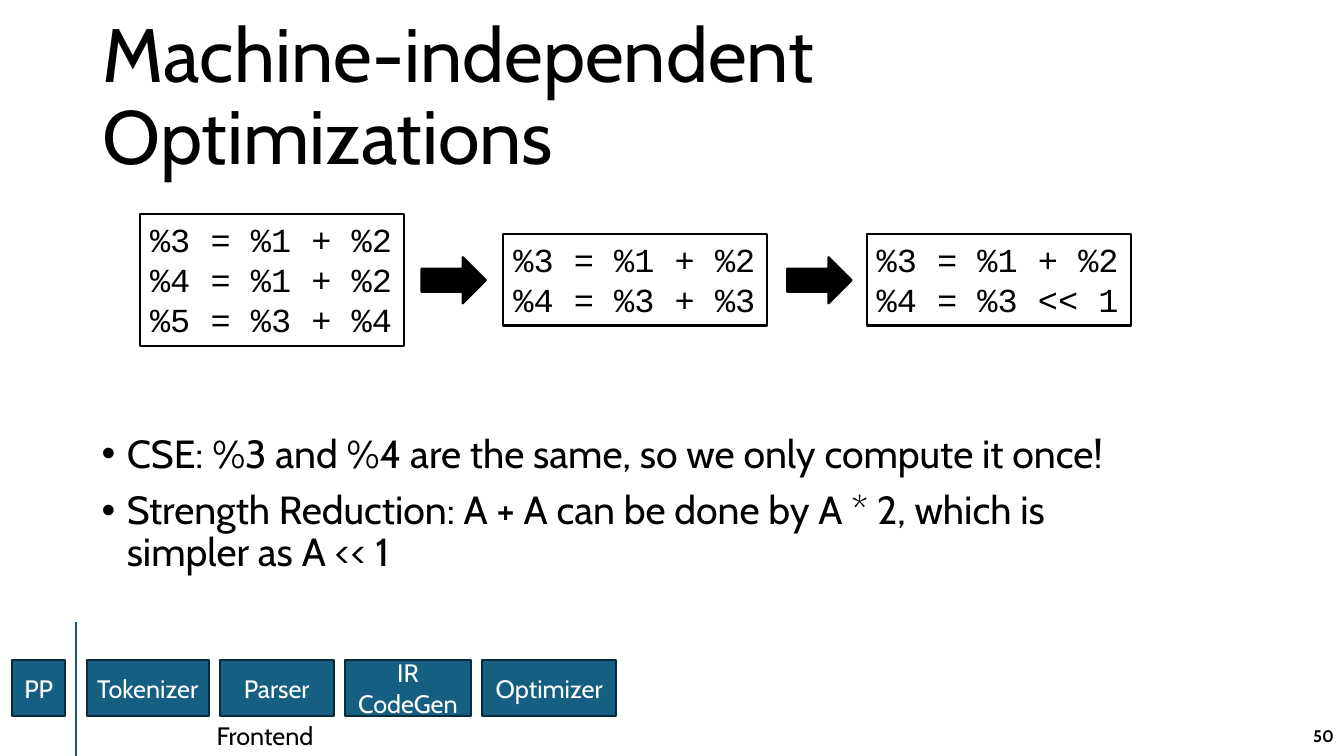
from pptx import Presentation
from pptx.dml.color import RGBColor
from pptx.enum.shapes import MSO_CONNECTOR as Connector, MSO_SHAPE as Shape
from pptx.enum.text import MSO_ANCHOR as Anchor, MSO_AUTO_SIZE as AutoSize, PP_ALIGN as Align
from pptx.oxml.ns import qn
from pptx.util import Pt
from lxml.etree import SubElement

BLACK, WHITE, BLUE, NAVY = "000000", "FFFFFF", "156082", "092A39"
SANS, MONO = "Cabin", "Courier New"


def color(hex_string):
    return RGBColor.from_string(hex_string)


def write(shape, lines, size, font=SANS, ink=BLACK, align=Align.LEFT,
          anchor=Anchor.TOP, wrap=True, bold=False):
    frame = shape.text_frame
    frame.text = "\n".join(lines)
    frame.word_wrap = wrap
    frame.auto_size = AutoSize.NONE if wrap else AutoSize.SHAPE_TO_FIT_TEXT
    frame.vertical_anchor = anchor
    for paragraph in frame.paragraphs:
        paragraph.alignment = align
        paragraph.font.name = font
        paragraph.font.size = Pt(size)
        paragraph.font.bold = bold
        paragraph.font.color.rgb = color(ink)
    return frame.paragraphs


def add_text(slide, box, lines, size, **style):
    return write(slide.shapes.add_textbox(*map(Pt, box)), lines, size, **style)


def add_block(slide, kind, box, fill, line):
    shape = slide.shapes.add_shape(kind, *map(Pt, box))
    shape.shadow.inherit = False
    shape.fill.solid()
    shape.fill.fore_color.rgb = color(fill)
    shape.line.color.rgb = color(line)
    shape.line.width = Pt(1.5)
    return shape


def add_title(slide, box, title):
    paragraph, = add_text(slide, box, [title], 54, anchor=Anchor.MIDDLE)
    paragraph.line_spacing = 0.9


def add_bullets(slide, box, items):
    for paragraph in add_text(slide, box, items, 28):
        paragraph.line_spacing = 0.9
        paragraph.space_before = Pt(10)
        properties = paragraph._p.get_or_add_pPr()
        properties.set("marL", str(Pt(18)))
        properties.set("indent", str(-Pt(18)))
        SubElement(properties, qn("a:buFont")).set("typeface", "Arial")
        SubElement(properties, qn("a:buChar")).set("char", "•")


def add_code_steps(slide, box, steps, arrow_offsets):
    left, top, width, height = box
    middle = top + height / 2
    code_width = 188.6
    pitch = (width - code_width) / (len(steps) - 1)
    for index, lines in enumerate(steps):
        code_height = 7.9 + 28.8 * len(lines)
        code_box = (left + index * pitch, middle - code_height / 2, code_width, code_height)
        code = add_block(slide, Shape.RECTANGLE, code_box, WHITE, BLACK)
        write(code, lines, 24, font=MONO, wrap=False)
    for offset in arrow_offsets:
        arrow_box = (left + offset, middle - 16, 46, 33)
        add_block(slide, Shape.RIGHT_ARROW, arrow_box, BLACK, BLACK)


def add_pipeline(slide, box):
    left, top, width, height = box
    stage_top, stage_height = top + 27.4, 39.6

    # Compiler stages, with the preprocessor left of the divider
    def add_stage(name, stage_left, stage_width):
        stage_box = (stage_left, stage_top, stage_width, stage_height)
        stage = add_block(slide, Shape.RECTANGLE, stage_box, BLUE, NAVY)
        write(stage, [name], 18, ink=WHITE, align=Align.CENTER, anchor=Anchor.MIDDLE)

    add_stage("PP", left, 38.2)
    stage_left = left + 53.3
    for name, stage_width in [("Tokenizer", 87.1), ("Parser", 81.4),
                              ("IR CodeGen", 90), ("Optimizer", 95.8)]:
        add_stage(name, stage_left, stage_width)
        stage_left += stage_width + 8

    # Label and divider
    add_text(slide, (left + 139, stage_top + stage_height, 85.7, 28.8), ["Frontend"], 18, wrap=False)
    divider_x = Pt(left + 45.4)
    divider = slide.shapes.add_connector(
        Connector.STRAIGHT, divider_x, Pt(top), divider_x, Pt(top + height))
    divider.line.color.rgb = color(BLUE)
    divider.line.width = Pt(1.5)
    SubElement(divider._element.spPr, qn("a:effectLst"))


def main():
    presentation = Presentation()
    presentation.slide_width, presentation.slide_height = Pt(960), Pt(540)
    slide = presentation.slides.add_slide(presentation.slide_layouts[6])

    add_title(slide, (66.2, 18.7, 828, 104.4), "Machine-independent Optimizations")
    add_bullets(slide, (65.5, 306.7, 773.3, 115.2), [
        "CSE: %3 and %4 are the same, so we only compute it once!",
        "Strength Reduction: A + A can be done by A * 2, which is simpler as A << 1",
    ])
    add_code_steps(slide, (100.1, 152.6, 707.6, 94.3), [
        ["%3 = %1 + %2", "%4 = %1 + %2", "%5 = %3 + %4"],
        ["%3 = %1 + %2", "%4 = %3 + %3"],
        ["%3 = %1 + %2", "%4 = %3 << 1"],
    ], arrow_offsets=[200.9, 462.2])
    add_pipeline(slide, (8.6, 444.2, 432.1, 95.8))

    # Slide number
    add_text(slide, (744, 511.2, 216, 28.8), ["50"], 12,
             align=Align.RIGHT, anchor=Anchor.MIDDLE, bold=True)
    presentation.save("out.pptx")


if __name__ == "__main__":
    main()
